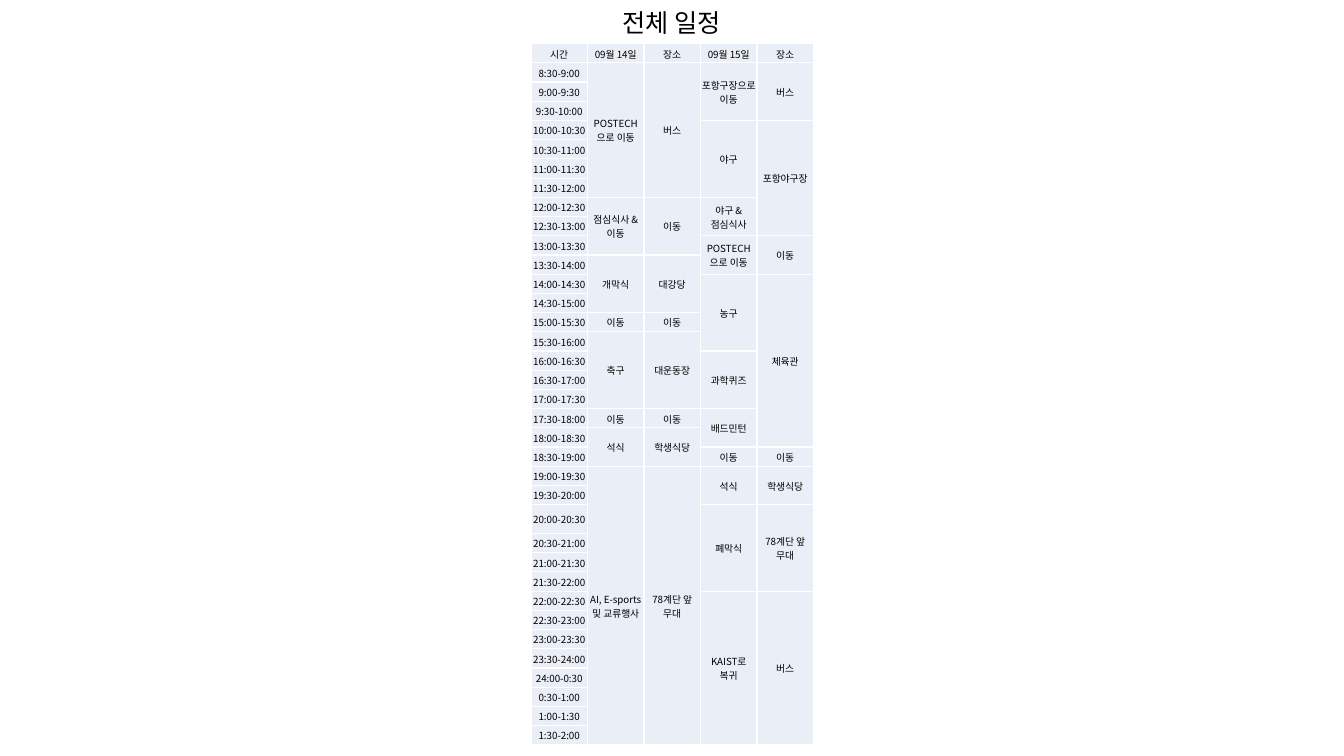
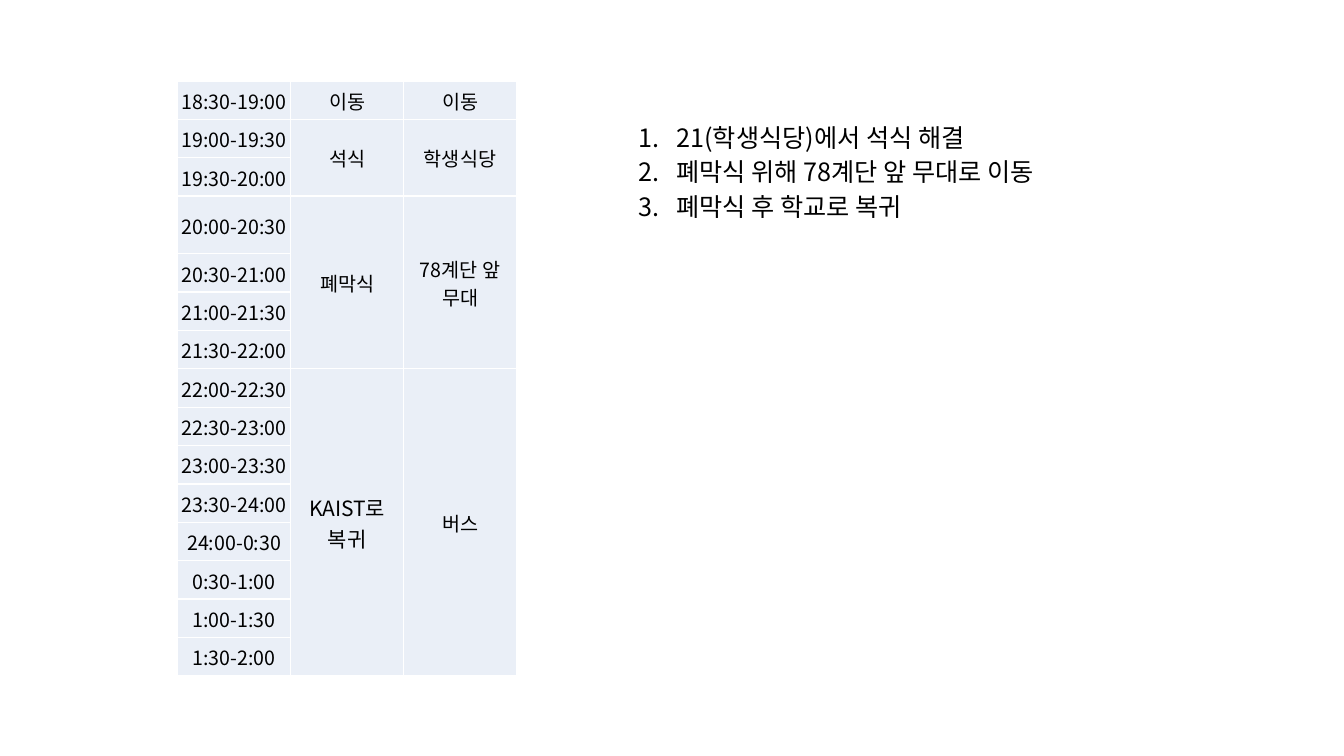
from lxml import etree
from pptx import Presentation
from pptx import util as u
from pptx.dml.color import RGBColor
from pptx.enum import text
from pptx.oxml.ns import qn

FIRST_START, LATE_START, DAY_END = 8 * 60 + 30, 18 * 60 + 30, 26 * 60
SLOT = 30
TALL_SLOT = 20 * 60
TALL_RATIO = 1.5

# Each entry: text and the number of half-hour slots it fills
DAY_1 = [("POSTECH으로 이동", 7), ("점심식사 & 이동", 3), ("개막식", 3), ("이동", 1),
         ("축구", 4), ("이동", 1), ("석식", 2), ("AI, E-sports 및 교류행사", 14)]
PLACE_1 = [("버스", 7), ("이동", 3), ("대강당", 3), ("이동", 1),
           ("대운동장", 4), ("이동", 1), ("학생식당", 2), ("78계단 앞 무대", 14)]
DAY_2 = [("포항구장으로 이동", 3), ("야구", 4), ("야구 & 점심식사", 2),
         ("POSTECH으로 이동", 2), ("농구", 4), ("과학퀴즈", 3), ("배드민턴", 2)]
PLACE_2 = [("버스", 3), ("포항야구장", 6), ("이동", 2), ("체육관", 9)]
LATE_DAY_2 = [("이동", 1), ("석식", 2), ("폐막식", 4), ("KAIST로 복귀", 8)]
LATE_PLACE_2 = [("이동", 1), ("학생식당", 2), ("78계단 앞 무대", 4), ("버스", 8)]


def rgb(value):
    return RGBColor.from_string(value)


def clock(minutes):
    """Midnight shows as 24:00; later times start again at 0:30."""
    if minutes > 24 * 60:
        minutes -= 24 * 60
    return f"{minutes // 60}:{minutes % 60:02d}"


def time_column(start):
    return [(f"{clock(m)}-{clock(m + SLOT)}", 1) for m in range(start, DAY_END, SLOT)]


class Deck:
    FONT = "Noto Sans CJK KR"
    INK, CELL, GRID = "000000", "EAEFF7", "FFFFFF"
    INSET = 0.03

    def __init__(self):
        self.prs = Presentation()
        self.prs.slide_width, self.prs.slide_height = u.Cm(33.87), u.Cm(19.05)
        self.s = None

    def new_slide(self):
        self.s = self.prs.slides.add_slide(self.prs.slide_layouts[6])

    def run(self, p, words, size):
        r = p.add_run()
        r.text = words
        r.font.size = u.Pt(size)
        r.font.color.rgb = rgb(self.INK)
        r.font.name = self.FONT
        etree.SubElement(r.font._element, qn("a:ea"), typeface=self.FONT)

    def text_box(self, x, y, w, h):
        tf = self.s.shapes.add_textbox(u.Cm(x), u.Cm(y), u.Cm(w), u.Cm(h)).text_frame
        tf.word_wrap = True
        return tf

    def title(self, words):
        p = self.text_box(9.63, 0.05, 14.6, 1.02).paragraphs[0]
        p.alignment = text.PP_ALIGN.CENTER
        self.run(p, words, 18)

    def numbered_list(self, x, y, w, h, items, size=18):
        tf = self.text_box(x, y, w, h)
        for i, item in enumerate(items):
            p = tf.add_paragraph() if i else tf.paragraphs[0]
            p.space_before = u.Pt(3 if i else 0)
            pPr = p._p.get_or_add_pPr()
            indent = u.Cm(0.95)
            pPr.set("marL", str(indent))
            pPr.set("indent", str(-indent))
            etree.SubElement(pPr, qn("a:buFont"), typeface="+mj-lt")
            etree.SubElement(pPr, qn("a:buAutoNum"), type="arabicPeriod")
            self.run(p, item, size)

    def style_cell(self, cell):
        cell.margin_left = cell.margin_right = cell.margin_top = u.Cm(self.INSET)
        cell.margin_bottom = 0
        cell.vertical_anchor = text.MSO_ANCHOR.MIDDLE
        tcPr = cell._tc.get_or_add_tcPr()
        for side in ("lnL", "lnR", "lnT", "lnB"):
            ln = etree.SubElement(tcPr, qn(f"a:{side}"), w=str(u.Pt(1)))
            fill = etree.SubElement(ln, qn("a:solidFill"))
            etree.SubElement(fill, qn("a:srgbClr"), val=self.GRID)
        cell.fill.solid()
        cell.fill.fore_color.rgb = rgb(self.CELL)

    def timetable(self, x, y, w, h, columns, tall_row, size, special_sizes=None):
        """Stack each column's entries, merging the slots an entry fills."""
        n_rows = sum(span for _, span in columns[0])
        tbl = self.s.shapes.add_table(n_rows, len(columns), u.Cm(x), u.Cm(y),
                                      u.Cm(w), u.Cm(h)).table
        tbl.first_row = tbl.horz_banding = False
        row_h = h / (n_rows - 1 + TALL_RATIO)
        for i, row in enumerate(tbl.rows):
            row.height = u.Cm(row_h * (TALL_RATIO if i == tall_row else 1))
        for cell in tbl.iter_cells():
            self.style_cell(cell)
        for c, entries in enumerate(columns):
            tbl.columns[c].width = u.Cm(w / len(columns))
            top = 0
            for words, span in entries:
                cell = tbl.cell(top, c)
                if span > 1:
                    cell.merge(tbl.cell(top + span - 1, c))
                p = cell.text_frame.paragraphs[0]
                p.alignment = text.PP_ALIGN.CENTER
                self.run(p, words, (special_sizes or {}).get(words, size))
                top += span


def full_schedule(deck):
    deck.new_slide()
    headings = ["시간", "09월 14일", "장소", "09월 15일", "장소"]
    bodies = [time_column(FIRST_START), DAY_1, PLACE_1,
              DAY_2 + LATE_DAY_2, PLACE_2 + LATE_PLACE_2]
    columns = [[(heading, 1)] + body for heading, body in zip(headings, bodies)]
    tall_row = 1 + (TALL_SLOT - FIRST_START) // SLOT
    deck.timetable(13.38, 1.1, 7.12, 17.7, columns, tall_row, size=7)
    deck.title("전체 일정")


def closing_evening(deck):
    deck.new_slide()
    columns = [time_column(LATE_START), LATE_DAY_2, LATE_PLACE_2]
    tall_row = (TALL_SLOT - LATE_START) // SLOT
    deck.timetable(4.48, 2.04, 8.54, 15, columns, tall_row, size=14,
                   special_sizes={"KAIST로 복귀": 15})
    deck.numbered_list(15.85, 2.95, 13.8, 3.12, [
        "21(학생식당)에서 석식 해결",
        "폐막식 위해 78계단 앞 무대로 이동",
        "폐막식 후 학교로 복귀",
    ])


def main():
    deck = Deck()
    full_schedule(deck)
    closing_evening(deck)
    deck.prs.save("out.pptx")


if __name__ == "__main__":
    main()
